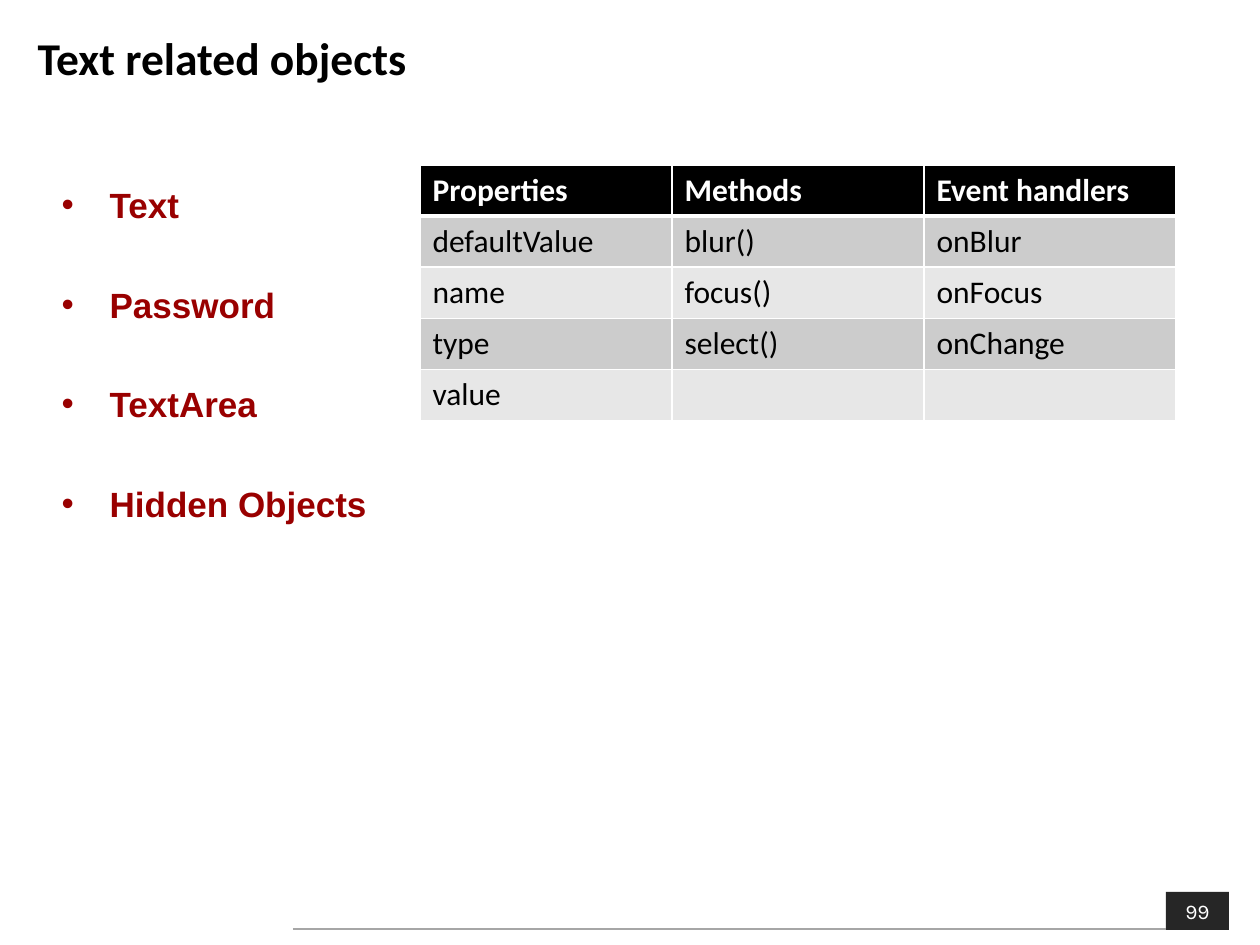
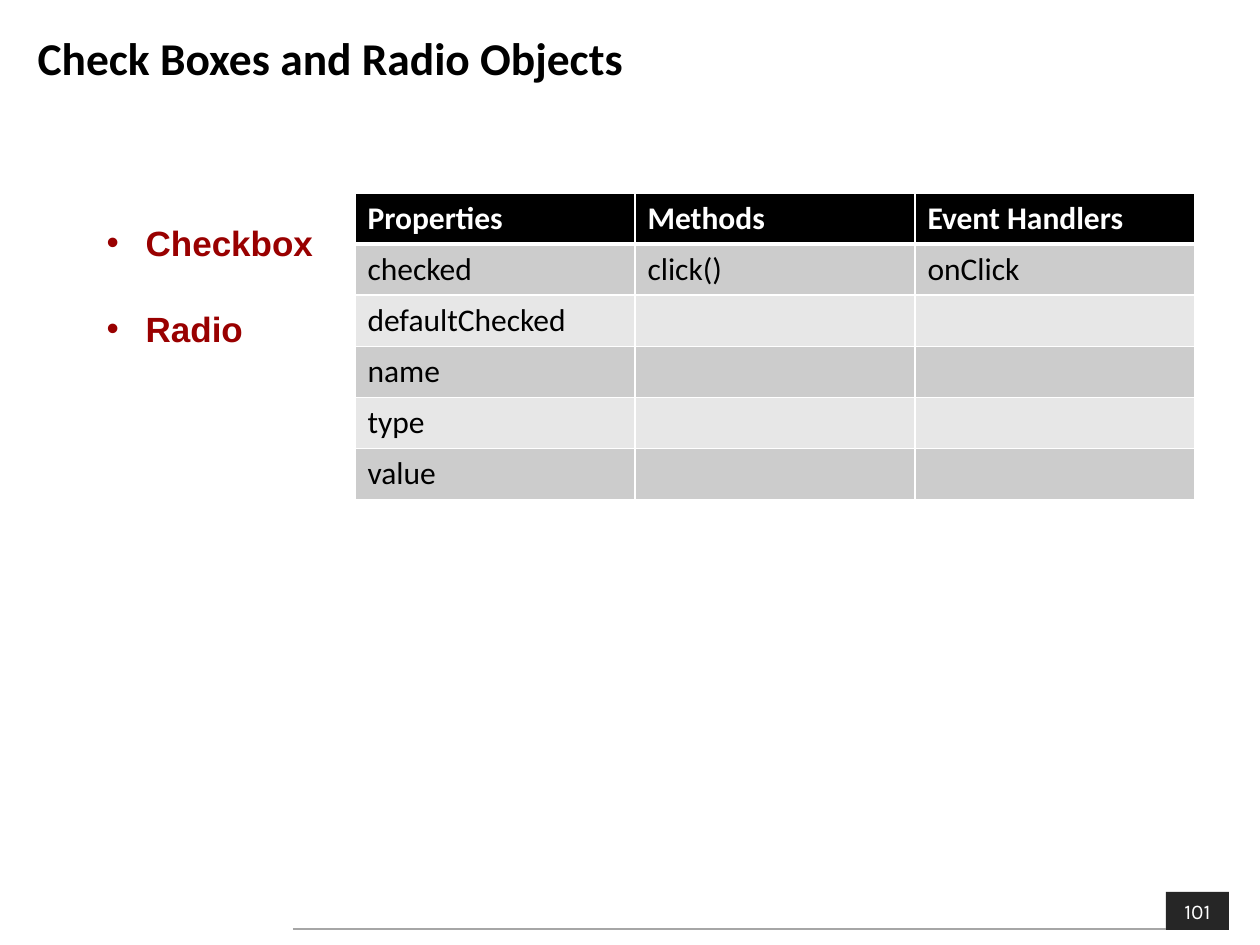
import pptx
import pptx.dml.color
import pptx.enum.shapes
import pptx.enum.text
import pptx.oxml
import pptx.oxml.ns
import pptx.util

EMU_PER_PX = 914400 / 126
BLACK, WHITE = "000000", "FFFFFF"
DARK_RED = "990000"
BADGE_GREY, RULE_GREY = "262626", "A6A6A6"
BANDS = ("CCCCCC", "E7E7E7")
ROW_HEIGHT = 51


def px(length):
    return pptx.util.Emu(round(length * EMU_PER_PX))


def color(value):
    return pptx.dml.color.RGBColor.from_string(value)


class SlideBuilder:
    def __init__(self, presentation):
        self.presentation = presentation
        self.slide = None

    def new_slide(self, title, number):
        layout = self.presentation.slide_layouts[1]
        self.slide = self.presentation.slides.add_slide(layout)
        self.title(title)
        self.footer(number)

    def place(self, shape, left, top, width, height):
        shape.left, shape.top = px(left), px(top)
        shape.width, shape.height = px(width), px(height)

    def add_run(self, paragraph, text, size, font, text_color, bold=False):
        run = paragraph.add_run()
        run.text = text
        run.font.size = pptx.util.Pt(size)
        run.font.name = font
        run.font.bold = bold
        run.font.color.rgb = color(text_color)

    def title(self, text):
        shape = self.slide.shapes.title
        self.place(shape, 25, 19, 1216, 77)
        frame = shape.text_frame
        frame.auto_size = pptx.enum.text.MSO_AUTO_SIZE.NONE
        frame.vertical_anchor = pptx.enum.text.MSO_ANCHOR.MIDDLE
        paragraph = frame.paragraphs[0]
        paragraph.alignment = pptx.enum.text.PP_ALIGN.LEFT
        self.add_run(paragraph, text, 26, "Calibri", BLACK, True)

    def footer(self, number):
        """Page number badge with the thin rule leading to it."""
        shapes = self.slide.shapes
        badge = shapes.add_shape(pptx.enum.shapes.MSO_SHAPE.RECTANGLE,
                                 px(1166), px(892), px(63), px(38))
        badge.shadow.inherit = False
        badge.fill.solid()
        badge.fill.fore_color.rgb = color(BADGE_GREY)
        badge.line.fill.background()
        frame = badge.text_frame
        frame.vertical_anchor = pptx.enum.text.MSO_ANCHOR.MIDDLE
        paragraph = frame.paragraphs[0]
        paragraph.alignment = pptx.enum.text.PP_ALIGN.CENTER
        self.add_run(paragraph, str(number), 12, "Karla", WHITE)

        rule = shapes.add_connector(pptx.enum.shapes.MSO_CONNECTOR.STRAIGHT,
                                    px(293), px(929), px(1166), px(929))
        rule.line.color.rgb = color(RULE_GREY)
        rule.line.width = pptx.util.Pt(0.75)
        rule._element.spPr.append(pptx.oxml.parse_xml(
            f'<a:effectLst {pptx.oxml.ns.nsdecls("a")}/>'))

    def bullets(self, items, box, indent, gap):
        """Bulleted list; indent is in px, gap between items in points."""
        body = self.slide.placeholders[1]
        self.place(body, *box)
        frame = body.text_frame
        frame.auto_size = pptx.enum.text.MSO_AUTO_SIZE.NONE
        for index, item in enumerate(items):
            paragraph = frame.add_paragraph() if index else frame.paragraphs[0]
            properties = paragraph._p.get_or_add_pPr()
            properties.set("marL", str(px(indent)))
            properties.set("indent", str(-px(indent)))
            paragraph.space_before = pptx.util.Pt(gap if index else 0)
            self.add_run(paragraph, item, 20, "Arial", DARK_RED, True)

    def cell_borders(self, cell, widths):
        """Add white borders; widths maps L, R, T and B to points."""
        properties = cell._tc.get_or_add_tcPr()
        for side, width in widths.items():
            properties.append(pptx.oxml.parse_xml(
                f'<a:ln{side} {pptx.oxml.ns.nsdecls("a")} w="{pptx.util.Pt(width)}">'
                f'<a:solidFill><a:srgbClr val="{WHITE}"/></a:solidFill></a:ln{side}>'))

    def table(self, left, top, column_width, rows):
        """Table with a black header; short rows end in empty cells."""
        columns = len(rows[0])
        frame = self.slide.shapes.add_table(
            len(rows), columns, px(left), px(top),
            px(column_width * columns), px(ROW_HEIGHT * len(rows)))
        table = frame.table
        for column in table.columns:
            column.width = px(column_width)
        for row_index, texts in enumerate(rows):
            table.rows[row_index].height = px(ROW_HEIGHT)
            header = row_index == 0
            fill = BLACK if header else BANDS[(row_index - 1) % 2]
            borders = {"L": 1, "R": 1, "T": 3 if row_index == 1 else 1,
                       "B": 3 if header else 1}
            for column_index in range(columns):
                cell = table.cell(row_index, column_index)
                self.cell_borders(cell, borders)
                cell.fill.solid()
                cell.fill.fore_color.rgb = color(fill)
                if column_index < len(texts):
                    self.add_run(cell.text_frame.paragraphs[0], texts[column_index],
                                 18, "Calibri", WHITE if header else BLACK, header)


def main():
    presentation = pptx.Presentation()
    presentation.slide_width = px(1260)
    presentation.slide_height = px(945)
    builder = SlideBuilder(presentation)

    builder.new_slide("Text related objects", 99)
    builder.bullets(["Text", "Password", "TextArea", "Hidden Objects"],
                    box=(49, 177, 1191, 672), indent=48, gap=33)
    builder.table(420, 165, 252, [
        ("Properties", "Methods", "Event handlers"),
        ("defaultValue", "blur()", "onBlur"),
        ("name", "focus()", "onFocus"),
        ("type", "select()", "onChange"),
        ("value",),
    ])

    builder.new_slide("Check Boxes and Radio Objects", 101)
    builder.bullets(["Checkbox", "Radio"],
                    box=(94, 215, 630, 178), indent=39, gap=25)
    builder.table(355, 193, 280, [
        ("Properties", "Methods", "Event Handlers"),
        ("checked", "click()", "onClick"),
        ("defaultChecked",),
        ("name",),
        ("type",),
        ("value",),
    ])

    presentation.save("out.pptx")


if __name__ == "__main__":
    main()
